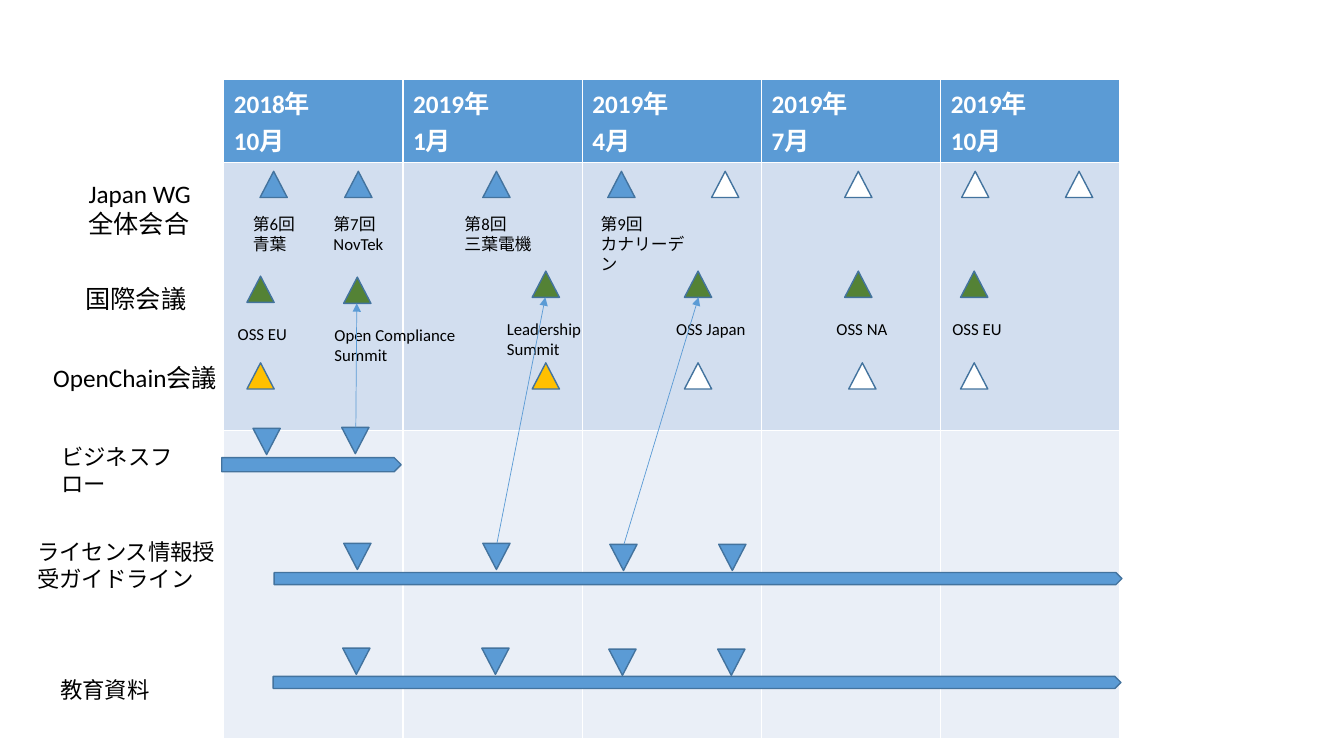
from dataclasses import dataclass

from lxml import etree
from pptx import Presentation
from pptx import util as u
from pptx.dml.color import RGBColor
from pptx.enum import shapes, text
from pptx.oxml import ns

COLOURS = {
    "blue": "5B9BD5", "outline": "43739E", "green": "548235", "yellow": "FFC000",
    "white": "FFFFFF", "black": "000000", "meeting_band": "D2DEEF", "work_band": "EAEFF7",
}
FONT = "Calibri"
CELL = u.Inches(0.1)
SLIDE_COLUMNS, SLIDE_ROWS = 133.33, 75
TABLE_LEFT, TABLE_TOP, QUARTER = 22.2, 7.9, 17.78
BAND_ROWS = (8.1, 26.6, 30.5)
MARK_WIDTH, MARK_HEIGHT = 2.7, 2.6
QUARTERS = ("2018年\n10月", "2019年\n1月", "2019年\n4月", "2019年\n7月", "2019年\n10月")


@dataclass(frozen=True)
class Milestones:
    fill: str
    row: float
    columns: tuple[float, ...]
    points_down: bool = False


@dataclass(frozen=True)
class Label:
    wording: str
    column: float
    row: float
    width: float
    height: float
    size: int = 12


@dataclass(frozen=True)
class Period:
    column: float
    row: float
    width: float
    height: float


@dataclass(frozen=True)
class Release:
    start: tuple[float, float]
    event: tuple[float, float]


MILESTONES = (
    Milestones("blue", 17, (25.8, 34.2, 47.9, 60.3)),
    Milestones("white", 17, (70.6, 83.8, 95.4, 105.7)),
    Milestones("green", 27.4, (24.5,)),
    Milestones("green", 27.5, (34.1,)),
    Milestones("green", 26.9, (52.8, 67.9, 83.8, 95.3)),
    Milestones("yellow", 36, (24.5, 52.8)),
    Milestones("white", 36, (67.9, 84.2, 95.3)),
    Milestones("blue", 42.5, (25.1,), True),
    Milestones("blue", 42.4, (33.9,), True),
    Milestones("blue", 53.9, (34.1, 47.9), True),
    Milestones("blue", 54, (60.5, 71.3), True),
    Milestones("blue", 64.3, (34, 47.8), True),
    Milestones("blue", 64.4, (60.4, 71.2), True),
)
LABELS = (
    Label("第6回\n青葉", 24.1, 20.7, 8.9, 5),
    Label("第7回\nNovTek", 32.1, 20.7, 11.4, 5),
    Label("第8回\n三葉電機", 45.1, 20.7, 11.4, 5),
    Label("第9回\nカナリーデン", 58.6, 20.7, 11.4, 5),
    Label("OSS EU", 22.6, 31.6, 7.6, 3),
    Label("Open Compliance Summit", 32.2, 31.7, 14, 5),
    Label("Leadership Summit", 49.3, 31.1, 10.6, 5),
    Label("OSS Japan", 66.1, 31.1, 9.4, 3),
    Label("OSS NA", 82, 31.1, 7.6, 3),
    Label("OSS EU", 93.5, 31.1, 7.6, 3),
    Label("Japan WG全体会合", 7.8, 17.2, 14.5, 7.1, 18),
    Label("国際会議", 7.5, 27.6, 14.5, 4, 18),
    Label("OpenChain会議", 4.3, 35.5, 18.4, 4, 18),
    Label("ビジネスフロー", 5.1, 43.5, 17.1, 3.7, 16),
    Label("ライセンス情報授受ガイドライン", 2.7, 52.9, 20.9, 6.4, 16),
    Label("教育資料", 5, 66.6, 14.3, 3.7, 16),
)
PERIODS = (
    Period(22, 45.4, 17.8, 1.4),
    Period(27.2, 56.8, 84.1, 1.2),
    Period(27.1, 67.1, 84.1, 1.2),
)
RELEASES = (
    Release((35.3, 42.4), (35.4, 30.1)),
    Release((49.3, 53.9), (54.1, 29.5)),
    Release((61.9, 54), (69.3, 29.5)),
)


def grid(cells: float) -> int:
    return round(cells * CELL)


def colour(name: str) -> RGBColor:
    return RGBColor.from_string(COLOURS[name])


def write(frame, wording: str, size: int, ink: str, bold: bool = False) -> None:
    frame.text = wording
    for paragraph in frame.paragraphs:
        for run in paragraph.runs:
            run.font.name = FONT
            run.font.size = u.Pt(size)
            run.font.bold = bold
            run.font.color.rgb = colour(ink)


def draw_calendar(slide) -> None:
    calendar = slide.shapes.add_table(
        len(BAND_ROWS), len(QUARTERS), grid(TABLE_LEFT), grid(TABLE_TOP),
        grid(QUARTER * len(QUARTERS)), grid(sum(BAND_ROWS))).table
    for quarter in calendar.columns:
        quarter.width = grid(QUARTER)
    fills = ("blue", "meeting_band", "work_band")
    for index, (height, fill) in enumerate(zip(BAND_ROWS, fills)):
        band = calendar.rows[index]
        band.height = grid(height)
        for cell in band.cells:
            cell.fill.solid()
            cell.fill.fore_color.rgb = colour(fill)
    for cell, quarter in zip(calendar.rows[0].cells, QUARTERS):
        write(cell.text_frame, quarter, 18, "white", True)


def draw_solid(slide, preset, column: float, row: float,
               width: float, height: float, fill: str):
    solid = slide.shapes.add_shape(
        preset, grid(column), grid(row), grid(width), grid(height))
    solid.shadow.inherit = False
    solid.fill.solid()
    solid.fill.fore_color.rgb = colour(fill)
    solid.line.color.rgb = colour("outline")
    solid.line.width = u.Pt(1)
    return solid


def draw_milestones(slide, milestones: Milestones) -> None:
    for column in milestones.columns:
        mark = draw_solid(slide, shapes.MSO_SHAPE.ISOSCELES_TRIANGLE, column,
                          milestones.row, MARK_WIDTH, MARK_HEIGHT, milestones.fill)
        mark.rotation = 180 if milestones.points_down else 0


def draw_label(slide, label: Label) -> None:
    box = slide.shapes.add_textbox(
        grid(label.column), grid(label.row), grid(label.width), grid(label.height))
    box.text_frame.word_wrap = True
    box.text_frame.auto_size = text.MSO_AUTO_SIZE.SHAPE_TO_FIT_TEXT
    write(box.text_frame, label.wording, label.size, "black")


def draw_release(slide, release: Release) -> None:
    arrow = slide.shapes.add_connector(
        shapes.MSO_CONNECTOR.STRAIGHT, *map(grid, release.start + release.event))
    arrow.line.color.rgb = colour("blue")
    arrow.line.width = u.Pt(0.5)
    etree.SubElement(arrow.line._get_or_add_ln(), ns.qn("a:tailEnd"), type="triangle")
    etree.SubElement(arrow._element.spPr, ns.qn("a:effectLst"))


def main() -> None:
    deck = Presentation()
    deck.slide_width, deck.slide_height = grid(SLIDE_COLUMNS), grid(SLIDE_ROWS)
    slide = deck.slides.add_slide(deck.slide_layouts[6])
    draw_calendar(slide)
    for period in PERIODS:
        draw_solid(slide, shapes.MSO_SHAPE.PENTAGON, period.column, period.row,
                   period.width, period.height, "blue")
    for milestones in MILESTONES:
        draw_milestones(slide, milestones)
    for label in LABELS:
        draw_label(slide, label)
    for release in RELEASES:
        draw_release(slide, release)
    deck.save("out.pptx")


if __name__ == "__main__":
    main()
